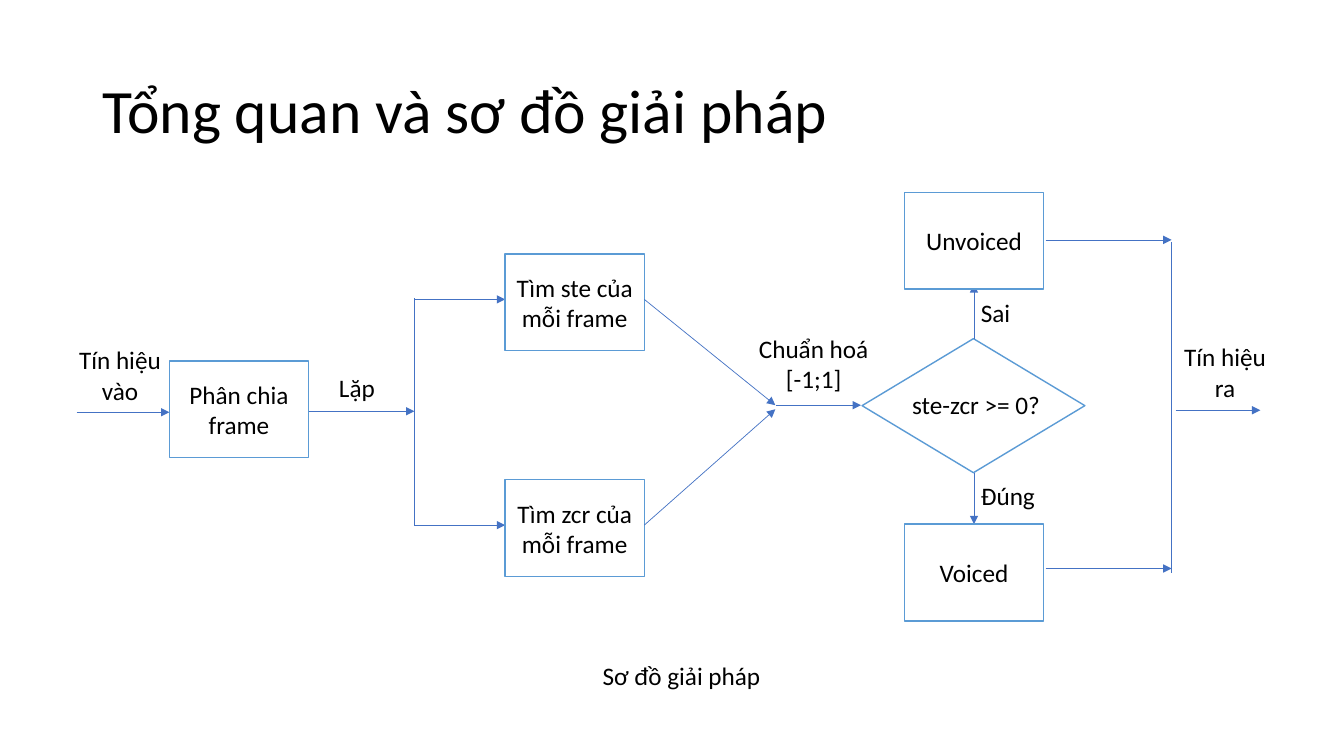
from lxml.etree import SubElement
from pptx import Presentation
from pptx.dml.color import RGBColor
from pptx.enum.shapes import MSO_CONNECTOR as Connector, MSO_SHAPE as Shape
from pptx.enum.text import MSO_ANCHOR as Anchor, PP_ALIGN as Align
from pptx.oxml.ns import qn
from pptx.util import Inches, Pt

COLORS = {"text": "000000", "fill": "FFFFFF", "outline": "5B9BD5", "arrow": "4472C4"}
FONT = "Calibri"
BOX_WIDTH, BOX_HEIGHT = 1.38, 0.96


def color(name):
    return RGBColor.from_string(COLORS[name])


def write(shape, text, size=18, align=Align.CENTER, anchor=Anchor.MIDDLE, wrap=True):
    frame = shape.text_frame
    frame.text = text
    frame.word_wrap = wrap
    frame.vertical_anchor = anchor
    paragraph = frame.paragraphs[0]
    paragraph.alignment = align
    for run in paragraph.runs:
        run.font.name = FONT
        run.font.size = Pt(size)
        run.font.color.rgb = color("text")
    return paragraph


def add_label(slide, origin, x, y, width, height, text, **style):
    left, top = origin
    label = slide.shapes.add_textbox(
        Inches(left + x), Inches(top + y), Inches(width), Inches(height))
    return write(label, text, **{"anchor": Anchor.TOP, **style})


def add_node(slide, origin, x, y, text="", kind=Shape.RECTANGLE,
             width=BOX_WIDTH, height=BOX_HEIGHT):
    left, top = origin
    node = slide.shapes.add_shape(
        kind, Inches(left + x), Inches(top + y), Inches(width), Inches(height))
    node.shadow.inherit = False
    node.fill.solid()
    node.fill.fore_color.rgb = color("fill")
    node.line.color.rgb = color("outline")
    node.line.width = Pt(1)
    if text:
        write(node, text)


def add_line(slide, origin, start, end, arrow=True):
    left, top = origin
    line = slide.shapes.add_connector(
        Connector.STRAIGHT, Inches(left + start[0]), Inches(top + start[1]),
        Inches(left + end[0]), Inches(top + end[1]))
    line.line.color.rgb = color("arrow")
    line.line.width = Pt(0.5)
    if arrow:
        SubElement(line.line._get_or_add_ln(), qn("a:tailEnd"), type="triangle")
    SubElement(line._element.spPr, qn("a:effectLst"))


def add_title(slide, origin):
    paragraph = add_label(slide, origin, 0, 0, 11.5, 1.45, "Tổng quan và sơ đồ giải pháp",
                          size=44, align=Align.LEFT, anchor=Anchor.MIDDLE)
    paragraph.line_spacing = 0.9


def add_framing(slide, origin):
    add_line(slide, origin, (0.09, 0.72), (1.01, 0.72))
    add_node(slide, origin, 1.01, 0.21, "Phân chia frame")
    add_line(slide, origin, (2.39, 0.71), (3.44, 0.71))
    add_label(slide, origin, 0, 0, 1.04, 0.71, "Tín hiệu vào")
    add_label(slide, origin, 2.35, 0.27, 1.04, 0.4, "Lặp")


def add_features(slide, origin):
    add_line(slide, origin, (0, 0.44), (0, 2.7), arrow=False)
    for y, feature, merge_y in ((0, "ste", 1.5), (2.24, "zcr", 1.54)):
        add_line(slide, origin, (0, y + 0.45), (0.9, y + 0.45))
        add_node(slide, origin, 0.9, y, f"Tìm {feature} của mỗi frame")
        add_line(slide, origin, (0.9 + BOX_WIDTH, y + 0.45), (3.58, merge_y))


def add_decision(slide, origin):
    middle = 2.28
    add_line(slide, origin, (0.32, 2.11), (1.16, 2.11))
    add_node(slide, origin, 1.17, 1.45, kind=Shape.DIAMOND, width=2.21, height=1.33)
    branches = (
        (0, "Unvoiced", 1.45, 0.91, "Sai", 0.99),
        (3.29, "Voiced", 2.78, 3.29, "Đúng", 2.81),
    )
    for box_y, result, start_y, end_y, answer, answer_y in branches:
        add_line(slide, origin, (middle, start_y), (middle, end_y))
        add_node(slide, origin, middle - BOX_WIDTH / 2, box_y, result)
        add_label(slide, origin, 2.25, answer_y, 1.04, 0.4, answer, align=Align.LEFT)
    add_label(slide, origin, 0, 1.35, 1.38, 0.71, "Chuẩn hoá [-1;1]")
    add_label(slide, origin, 1.56, 1.9, 1.48, 0.4, "ste-zcr >= 0?", wrap=False)


def add_output(slide, origin):
    for y in (0, 3.26):
        add_line(slide, origin, (0, y), (1.25, y))
    add_line(slide, origin, (1.25, 0.02), (1.25, 3.3), arrow=False)
    add_line(slide, origin, (1.29, 1.69), (2.13, 1.69))
    add_label(slide, origin, 1.26, 0.96, 1.04, 0.71, "Tín hiệu ra")


def add_caption(slide, origin):
    add_label(slide, origin, 0, 0, 6.36, 0.4, "Sơ đồ giải pháp")


presentation = Presentation()
presentation.slide_width = Inches(13.33)
presentation.slide_height = Inches(7.5)
slide = presentation.slides.add_slide(presentation.slide_layouts[6])
add_title(slide, (0.92, 0.4))
add_framing(slide, (0.67, 3.37))
add_features(slide, (4.11, 2.52))
add_decision(slide, (7.38, 1.91))
add_output(slide, (10.37, 2.38))
add_caption(slide, (3.58, 6.5))
presentation.save("out.pptx")
